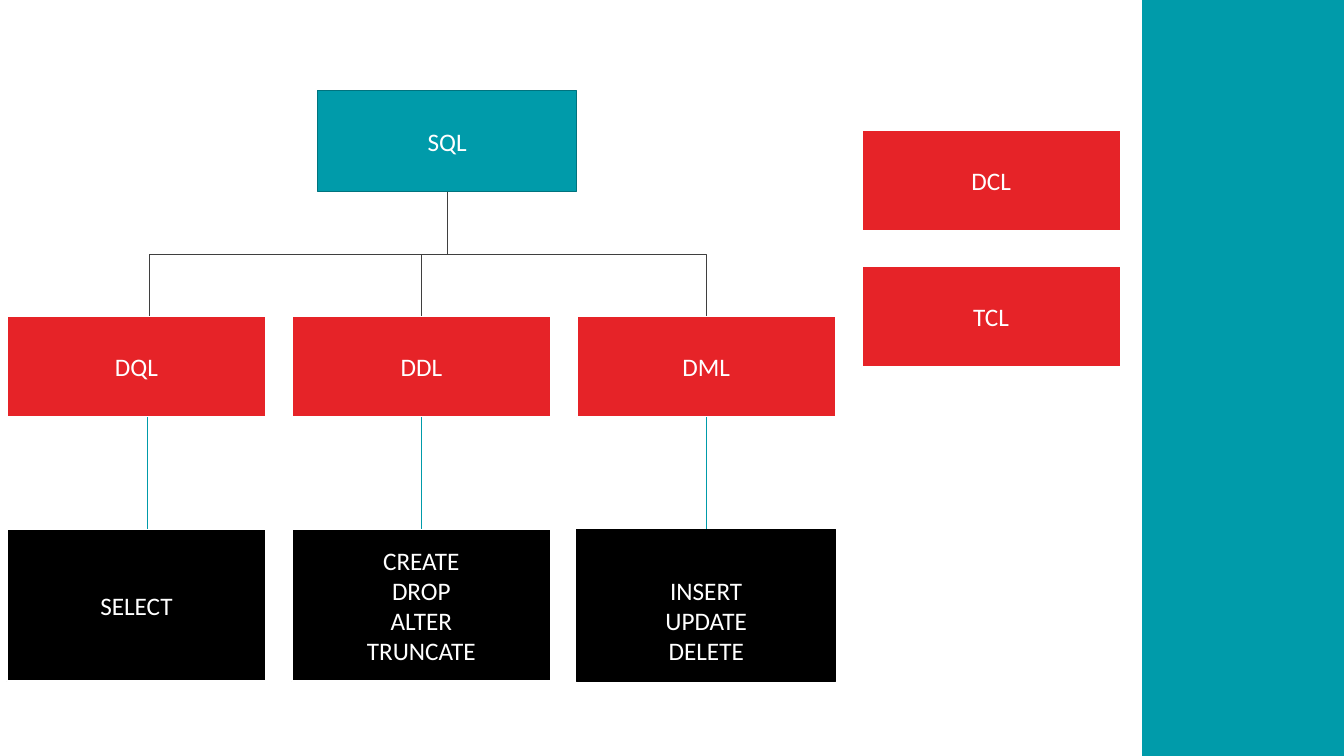
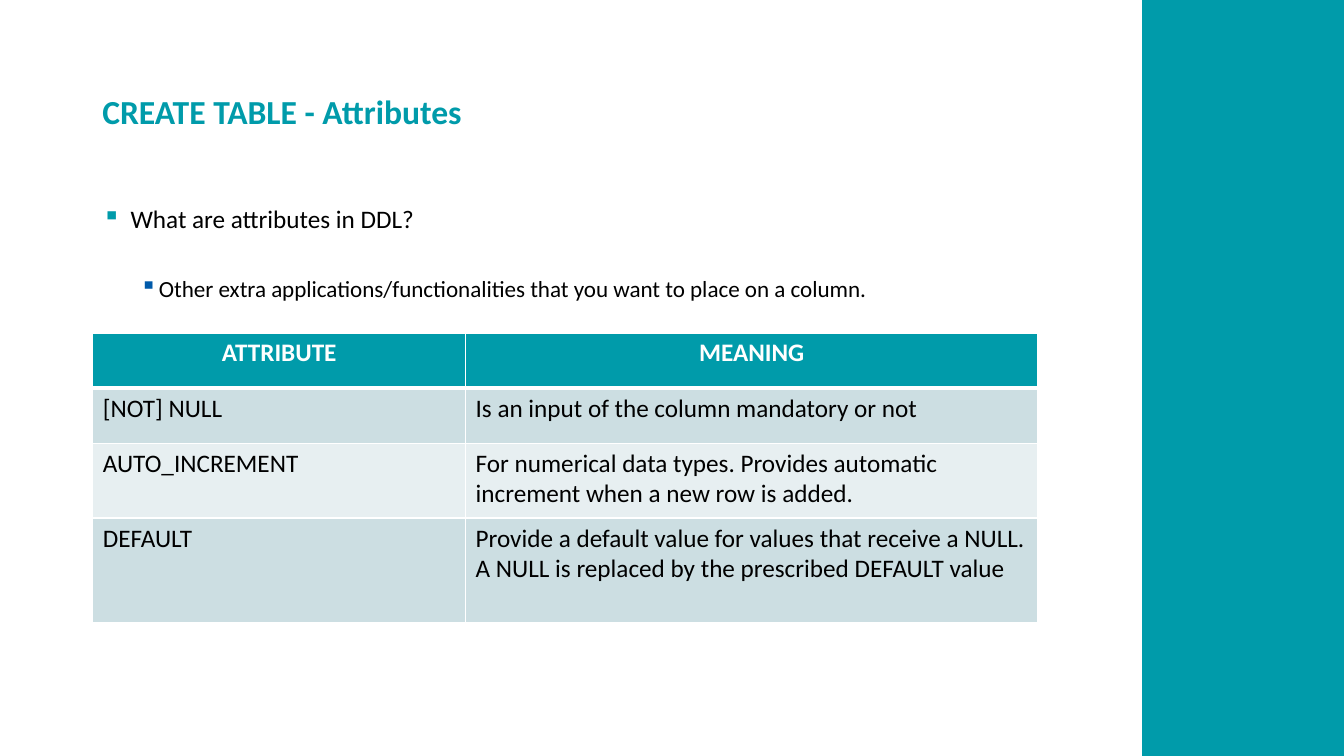
from lxml import etree
from pptx import Presentation
from pptx.dml.color import RGBColor
from pptx.enum.shapes import MSO_CONNECTOR, MSO_SHAPE
from pptx.enum.text import MSO_ANCHOR, PP_ALIGN
from pptx.oxml.ns import qn
from pptx.util import Pt

RECT = MSO_SHAPE.RECTANGLE
STRAIGHT = MSO_CONNECTOR.STRAIGHT
ELBOW = MSO_CONNECTOR.ELBOW
MIDDLE = MSO_ANCHOR.MIDDLE
LEFT = PP_ALIGN.LEFT
CENTER = PP_ALIGN.CENTER

FONT = "Calibri"
SLIDE_W, SLIDE_H = 960, 540
BAND_X = 816.5
COLORS = {
    "teal": "009BAA",
    "dark_teal": "00737E",
    "red": "E62328",
    "blue": "005AAA",
    "black": "000000",
    "white": "FFFFFF",
    "gray": "3F3F3F",
    "row_odd": "CCDEE2",
    "row_even": "E7EFF1",
}


def rgb(name):
    return RGBColor.from_string(COLORS[name])


def add_color(parent, name):
    etree.SubElement(parent, qn("a:srgbClr"), val=COLORS[name])


def write_text(tf, *lines, size=18, color="black", bold=False, align=LEFT,
               spacing=None, before=None, bullet=None, indent=0, hang=0):
    for line in lines:
        p = tf.add_paragraph() if tf.text else tf.paragraphs[0]
        p.alignment = align
        p.line_spacing = spacing
        if before is not None:
            p.space_before = Pt(before)
        if bullet:
            pPr = p._p.get_or_add_pPr()
            pPr.set("marL", str(Pt(indent)))
            pPr.set("indent", str(Pt(-hang)))
            add_color(etree.SubElement(pPr, qn("a:buClr")), bullet)
            etree.SubElement(pPr, qn("a:buChar"), char="▪")
        r = p.add_run()
        r.text = line
        r.font.name = FONT
        r.font.size = Pt(size)
        r.font.bold = bold
        r.font.color.rgb = rgb(color)


def add_box(s, x, y, w, h, fill, line, width, lines=(), margin_top=3.6):
    sp = s.shapes.add_shape(RECT, Pt(x), Pt(y), Pt(w), Pt(h))
    sp.shadow.inherit = False
    sp.fill.solid()
    sp.fill.fore_color.rgb = rgb(fill)
    sp.line.color.rgb = rgb(line)
    sp.line.width = Pt(width)
    tf = sp.text_frame
    tf.word_wrap = True
    tf.vertical_anchor = MIDDLE
    tf.margin_top = Pt(margin_top)
    write_text(tf, *lines, color="white", align=CENTER)


def add_line(s, kind, x1, y1, x2, y2, color):
    cxn = s.shapes.add_connector(kind, Pt(x1), Pt(y1), Pt(x2), Pt(y2))
    cxn.line.color.rgb = rgb(color)
    cxn.line.width = Pt(0.5)
    etree.SubElement(cxn._element.spPr, qn("a:effectLst"))
    return cxn


def add_branch(s, x1, y1, x2, y2):
    w, h = y2 - y1, abs(x2 - x1)
    left, top = (x1 + x2 - w) / 2, (y1 + y2 - h) / 2
    cxn = add_line(s, ELBOW, left, top, left + w, top + h, "gray")
    xfrm = cxn._element.spPr.find(qn("a:xfrm"))
    if x2 < x1:
        xfrm.set("rot", "5400000")
    else:
        xfrm.set("rot", "16200000")
        xfrm.set("flipH", "1")


def add_text_box(s, x, y, w, h):
    tf = s.shapes.add_textbox(Pt(x), Pt(y), Pt(w), Pt(h)).text_frame
    tf.word_wrap = True
    return tf


def add_base_slide(prs):
    s = prs.slides.add_slide(prs.slide_layouts[6])
    add_box(s, BAND_X, 0, SLIDE_W - BAND_X, SLIDE_H, "teal", "teal", 1)
    return s


def add_title(s, text, x, y, w, h):
    tf = add_text_box(s, x, y, w, h)
    tf.vertical_anchor = MIDDLE
    write_text(tf, text, size=24, color="teal", bold=True, spacing=0.9)


def add_language_tree(s, x, y):
    box_w, box_h, command_h, pitch = 185, 72, 108.7, 203.5
    root_x, group_y, command_y = x + 222, y + 161.2, y + 313.2
    root_center = root_x + box_w / 2
    add_box(s, root_x, y, box_w, box_h, "teal", "dark_teal", 1, ["SQL"])
    groups = [
        ("DQL", ["SELECT"], "white", 1.5, 3.6, 102, 100),
        ("DDL", ["CREATE", "DROP", "ALTER", "TRUNCATE"], "white", 1.5, 3.6, 92.5, 92.5),
        ("DML", ["INSERT", "UPDATE", "DELETE"], "black", 1, 25.2, 92.5, 92.5),
    ]
    for i, (name, commands, line, width, margin, branch_dx, stem_dx) in enumerate(groups):
        left = x + i * pitch
        add_box(s, left, group_y, box_w, box_h, "red", "white", 1.5, [name])
        add_box(s, left, command_y, box_w, command_h, "black", line, width, commands, margin)
        add_branch(s, root_center, y + box_h, left + branch_dx, group_y)
        add_line(s, STRAIGHT, left + stem_dx, group_y + box_h,
                 left + stem_dx, command_y, "teal")
    for i, name in enumerate(["DCL", "TCL"]):
        add_box(s, x + 3 * pitch, y + 28.2 + i * 97.2, box_w, box_h,
                "red", "white", 1.5, [name])


def add_bullets(s, x, y, w, h):
    tf = add_text_box(s, x, y, w, h)
    write_text(tf, "What are attributes in DDL?", spacing=0.9, before=7.5,
               bullet="teal", indent=20.25, hang=20.25)
    write_text(tf, "Other extra applications/functionalities that you want to place on a column.",
               size=16.5, spacing=0.9, before=31, bullet="blue", indent=40.5, hang=13.5)


def set_borders(cell, **widths):
    tcPr = cell._tc.get_or_add_tcPr()
    for i, side in enumerate("LRTB"):
        ln = etree.Element(qn(f"a:ln{side}"), w=str(Pt(widths.get(side, 1))))
        add_color(etree.SubElement(ln, qn("a:solidFill")), "white")
        tcPr.insert(i, ln)


def add_attribute_table(s, x, y):
    rows = [
        ("ATTRIBUTE", "MEANING"),
        ("[NOT] NULL", "Is an input of the column mandatory or not"),
        ("AUTO_INCREMENT", "For numerical data types. Provides automatic increment when a new row is added."),
        ("DEFAULT", "Provide a default value for values that receive a NULL. "
                    "A NULL is replaced by the prescribed DEFAULT value"),
    ]
    widths, heights = [266.3, 408.7], [39.4, 39.4, 53.5, 75]
    table = s.shapes.add_table(len(rows), len(widths), Pt(x), Pt(y),
                               Pt(sum(widths)), Pt(sum(heights))).table
    for col, width in zip(table.columns, widths):
        col.width = Pt(width)
    for i, (row, height) in enumerate(zip(rows, heights)):
        table.rows[i].height = Pt(height)
        header = i == 0
        fill = "teal" if header else "row_odd" if i % 2 else "row_even"
        for j, text in enumerate(row):
            cell = table.cell(i, j)
            cell.fill.solid()
            cell.fill.fore_color.rgb = rgb(fill)
            set_borders(cell, T=3 if i == 1 else 1, B=3 if header else 1)
            write_text(cell.text_frame, text, bold=header,
                       color="white" if header else "black",
                       align=CENTER if header else LEFT)


def main():
    prs = Presentation()
    prs.slide_width, prs.slide_height = Pt(SLIDE_W), Pt(SLIDE_H)

    add_language_tree(add_base_slide(prs), 5, 64.8)

    s = add_base_slide(prs)
    add_title(s, "CREATE TABLE - Attributes", 66, 28.8, 739.5, 104.4)
    add_bullets(s, 66, 144, 739.5, 376.5)
    add_attribute_table(s, 66.3, 237.8)

    prs.save("out.pptx")


if __name__ == "__main__":
    main()
